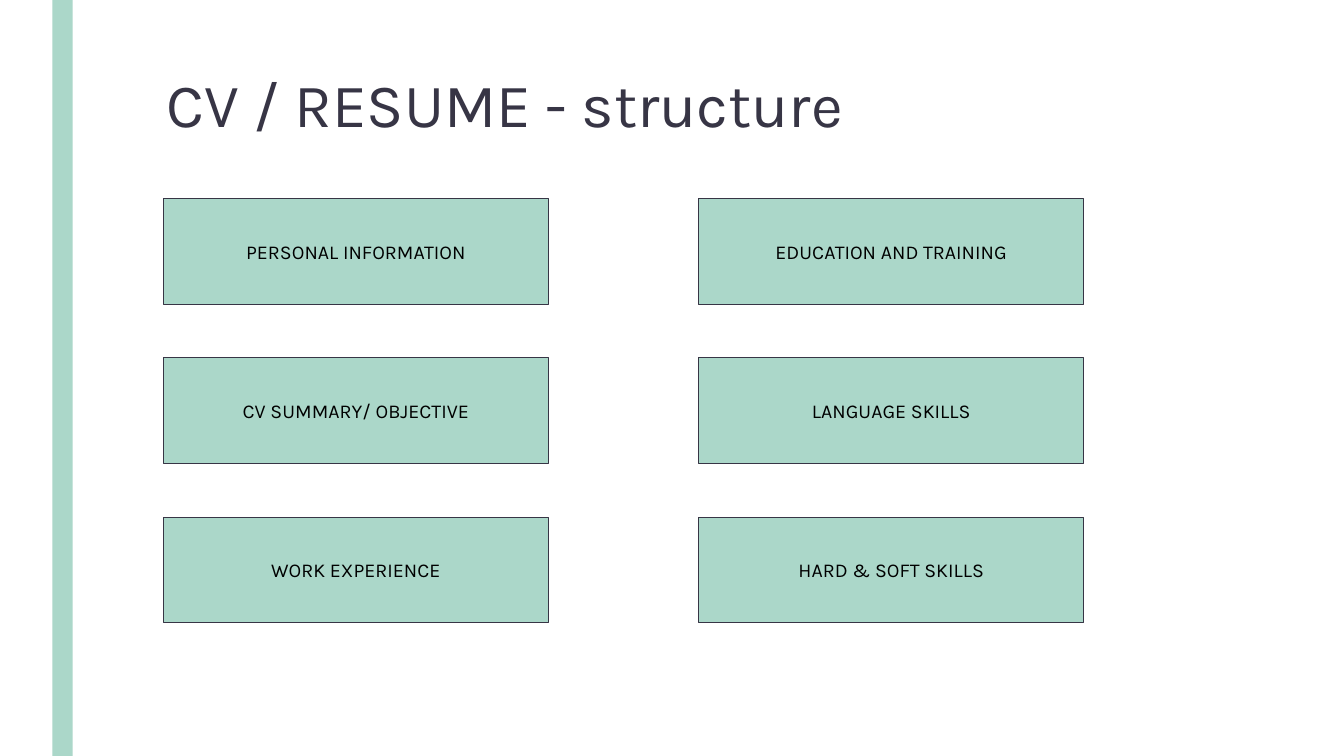
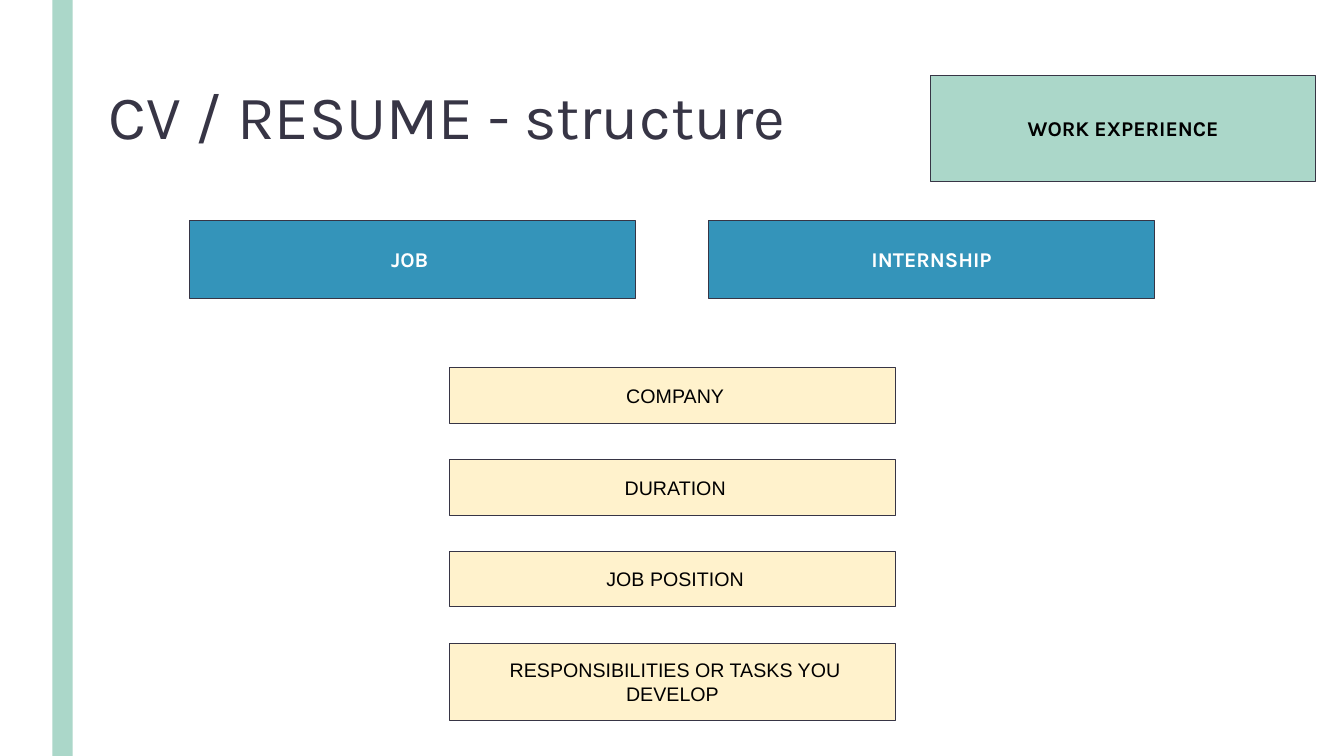
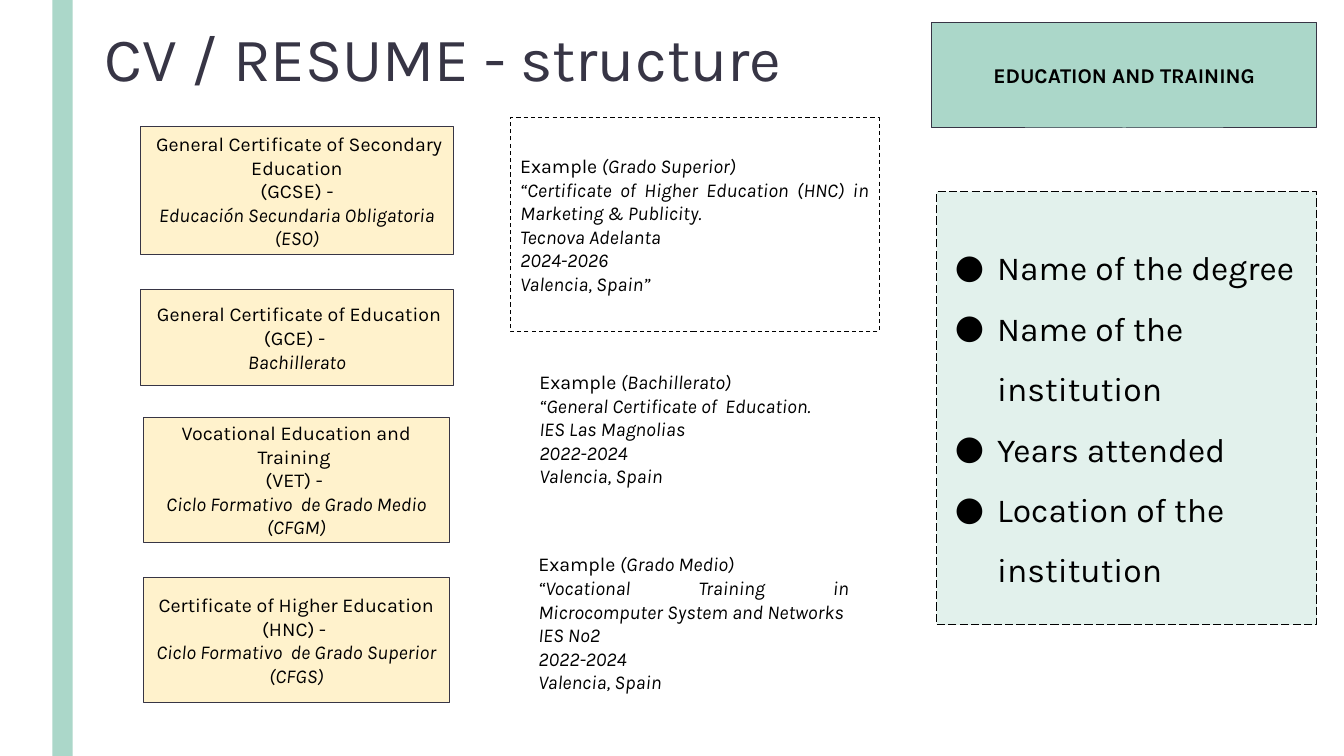
from pptx import Presentation
from pptx import util as u
from pptx.dml.color import RGBColor
from pptx.enum import dml, shapes, text
from pptx.oxml import parse_xml
from pptx.oxml.ns import nsdecls

GREEN, BLUE, CREAM, PALE = "ABD7C9", "3494BA", "FFF2CC", "E2F1EC"
INK, BLACK, WHITE = "373545", "000000", "FFFFFF"
CENTER, LEFT, JUSTIFY = text.PP_ALIGN.CENTER, text.PP_ALIGN.LEFT, text.PP_ALIGN.JUSTIFY
TITLE_ONLY, TITLE_BODY = 5, 1
HEADING = "CV / RESUME - structure"
LABEL = {"size": 14, "name": "Karla", "color": BLACK}
STRONG = {**LABEL, "size": 15, "bold": True}
TITLE = {"size": 44, "name": "Karla", "color": INK}


def rgb(value):
    """Turn a hex string into a colour."""
    return RGBColor.from_string(value)


def place(sp, at):
    """Move and size a shape to left, top, width, height in inches."""
    for name, value in zip(("left", "top", "width", "height"), at):
        setattr(sp, name, u.Inches(value))


def paint(sp, fill=None, line=None, dash=None):
    """Set the fill and outline of a shape."""
    if fill:
        sp.fill.solid()
        sp.fill.fore_color.rgb = rgb(fill)
    else:
        sp.fill.background()
    if line:
        sp.line.color.rgb = rgb(line)
        sp.line.width = u.Pt(0.75)
        sp.line.dash_style = dash
    else:
        sp.line.fill.background()


def style_font(font, style):
    """Apply a dict of format values to a font."""
    for name, value in style.items():
        if name == "color":
            font.color.rgb = rgb(value)
        else:
            setattr(font, name, u.Pt(value) if name == "size" else value)


def write(sp, lines, style, align=CENTER, anchor=text.MSO_ANCHOR.MIDDLE, inset=0.1, spacing=None):
    """Write lines into a shape; text after a bar is italic."""
    tf = sp.text_frame
    frame = {"word_wrap": True, "vertical_anchor": anchor, "auto_size": text.MSO_AUTO_SIZE.NONE,
             "margin_left": u.Inches(0.1), "margin_right": u.Inches(0.1),
             "margin_top": u.Inches(inset), "margin_bottom": u.Inches(inset)}
    for name, value in frame.items():
        setattr(tf, name, value)
    for i, line in enumerate(lines):
        p = tf.add_paragraph() if i else tf.paragraphs[0]
        for name, value in {"alignment": align, "line_spacing": spacing, "space_before": u.Pt(0)}.items():
            setattr(p, name, value)
        for part, italic in zip(line.split("|"), (False, True)):
            if part:
                r = p.add_run()
                r.text = part
                style_font(r.font, {**style, "italic": italic})


def add_rect(s, at):
    """Add a rectangle without shadow."""
    sp = s.shapes.add_shape(shapes.MSO_SHAPE.RECTANGLE, *map(u.Inches, at))
    sp.shadow.inherit = False
    return sp


def add_box(s, at, lines, fill=GREEN, style=LABEL, align=CENTER, line=INK, dash=None):
    """Add an outlined rectangle with text."""
    sp = add_rect(s, at)
    paint(sp, fill, line, dash)
    write(sp, lines, style, align)


def add_example(s, at, lines):
    """Add a justified example as plain text."""
    sp = s.shapes.add_textbox(*map(u.Inches, at))
    write(sp, lines, LABEL, JUSTIFY, text.MSO_ANCHOR.TOP)
    sp.text_frame.auto_size = text.MSO_AUTO_SIZE.SHAPE_TO_FIT_TEXT


def add_list(s, at, lines):
    """Fill the body placeholder with a bulleted list."""
    sp = s.placeholders[1]
    place(sp, at)
    paint(sp, PALE, BLACK, dml.MSO_LINE.LONG_DASH)
    write(sp, lines, {**LABEL, "size": 24}, LEFT, spacing=1.5)
    for p in sp.text_frame.paragraphs:
        pPr = p._p.get_or_add_pPr()
        pPr.set("marL", str(u.Inches(0.5)))
        pPr.set("indent", str(u.Inches(-0.42)))
        for xml in (f'<a:buClr {nsdecls("a")}><a:srgbClr val="{BLACK}"/></a:buClr>',
                    f'<a:buFont {nsdecls("a")} typeface="Karla"/>',
                    f'<a:buChar {nsdecls("a")} char="●"/>'):
            pPr.append(parse_xml(xml))


def add_slide(prs, layout, title_at):
    """Add a slide with the shared title."""
    s = prs.slides.add_slide(prs.slide_layouts[layout])
    place(s.shapes.title, title_at)
    write(s.shapes.title, [HEADING], TITLE, LEFT, inset=0.05, spacing=0.89)
    return s


def band_master(prs, s):
    """Put the green side band on the slide master."""
    band = add_rect(s, (0.52, 0, 0.2, 7.5))
    paint(band, GREEN)
    band._element.nvSpPr.cNvPr.set("id", "100")
    prs.slide_master.shapes._spTree.append(band._element)


def build_overview(prs):
    """Build the slide with the six sections."""
    s = add_slide(prs, TITLE_ONLY, (1.55, 0.26, 10.5, 1.62))
    band_master(prs, s)
    columns = (("PERSONAL INFORMATION", "CV SUMMARY/ OBJECTIVE", "WORK EXPERIENCE"),
               ("EDUCATION AND TRAINING", "LANGUAGE SKILLS", "HARD & SOFT SKILLS"))
    for col, labels in enumerate(columns):
        for row, label in enumerate(labels):
            add_box(s, (1.62 + 5.31 * col, 1.97 + 1.58 * row, 3.82, 1.05), [label])


def build_experience(prs):
    """Build the work experience slide."""
    s = add_slide(prs, TITLE_ONLY, (0.98, 0.38, 7.38, 1.62))
    add_box(s, (9.23, 0.75, 3.82, 1.05), ["WORK EXPERIENCE"], style=STRONG)
    for i, label in enumerate(("JOB ", "INTERNSHIP")):
        add_box(s, (1.88 + 5.15 * i, 2.19, 4.42, 0.77), [label], BLUE, {**STRONG, "color": WHITE})
    details = ((" COMPANY", 0.55), (" DURATION", 0.55), (" JOB POSITION", 0.55),
               (" RESPONSIBILITIES OR TASKS YOU DEVELOP", 0.77))
    for i, (label, height) in enumerate(details):
        add_box(s, (4.46, 3.65 + 0.91 * i, 4.42, height), [label], CREAM, {**LABEL, "name": "Arial"})


def build_education(prs):
    """Build the education and training slide."""
    s = add_slide(prs, TITLE_BODY, (0.94, 0.06, 7.38, 1.11))
    add_box(s, (9.24, 0.22, 3.82, 1.05), ["EDUCATION AND TRAINING"], style=STRONG)
    degrees = (
        ((1.39, 1.26, 3.11, 1.27), (" General Certificate of Secondary Education", "(GCSE) -",
                                    "|Educación Secundaria Obligatoria (ESO)")),
        ((1.39, 2.87, 3.11, 0.96), (" General Certificate of Education", "(GCE) - ", "|Bachillerato")),
        ((1.42, 4.14, 3.04, 1.24), ("Vocational Education and Training ", "(VET) - ",
                                    "|Ciclo Formativo  de Grado Medio (CFGM)")),
        ((1.42, 5.73, 3.04, 1.24), ("Certificate of Higher Education (HNC) - ",
                                    "|Ciclo Formativo  de Grado Superior (CFGS)")),
    )
    for at, lines in degrees:
        add_box(s, at, lines, CREAM)
    add_box(s, (5.06, 1.17, 3.66, 2.12),
            ("Example| (Grado Superior)",
             "|“Certificate of Higher Education (HNC) in Marketing & Publicity.",
             "|Tecnova Adelanta", "|2024-2026", "|Valencia, Spain”"),
            None, align=JUSTIFY, line=BLACK, dash=dml.MSO_LINE.DASH)
    add_example(s, (5.25, 3.57, 3.28, 1.38),
                ("Example| (Bachillerato)", "|“General Certificate of  Education.",
                 "|IES Las Magnolias", "|2022-2024", "|Valencia, Spain"))
    add_example(s, (5.24, 5.38, 3.28, 1.85),
                ("Example| (Grado Medio)", "|“Vocational Training in Microcomputer System and Networks",
                 "|IES Nº2", "|2022-2024", "|Valencia, Spain"))
    add_list(s, (9.29, 1.9, 3.77, 4.3),
             ("Name of the degree", "Name of the institution", "Years attended",
              "Location of the institution"))


def main():
    """Build and save the presentation."""
    prs = Presentation()
    prs.slide_width, prs.slide_height = u.Inches(13.33), u.Inches(7.5)
    for build in (build_overview, build_experience, build_education):
        build(prs)
    prs.save("out.pptx")


if __name__ == "__main__":
    main()
